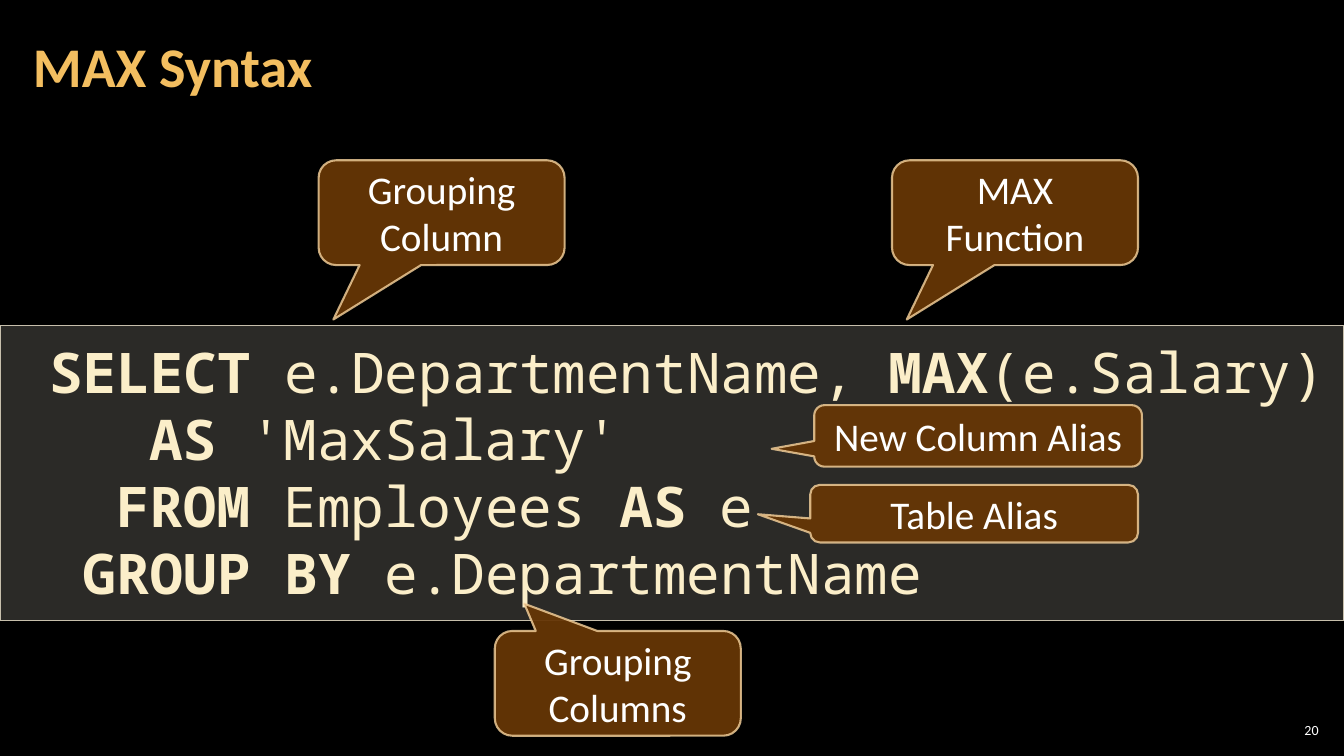
import dataclasses
import typing

import lxml.etree
import pptx
import pptx.dml.color
import pptx.dml.fill
import pptx.enum.shapes
import pptx.enum.text
import pptx.oxml.ns
import pptx.shapes.autoshape
import pptx.slide
import pptx.text.text
import pptx.util

Cm = pptx.util.Cm
Align = pptx.enum.text.PP_ALIGN
Shape = pptx.enum.shapes.MSO_SHAPE

COLORS = {
    "background": "000000",
    "title": "F3BE60",
    "code": "FBEEC9",
    "code_fill": "D9D5C7",
    "code_line": "C7BFAC",
    "callout_fill": "663606",
    "callout_line": "F8D49E",
    "text": "FFFFFF",
}
TEXT_FONT = "Calibri"
CODE_FONT = "Noto Sans Mono"
CODE_COLUMN = 0.84


@dataclasses.dataclass
class Box:
    left: float
    top: float
    width: float
    height: float

    def lengths(self) -> list[pptx.util.Length]:
        return [Cm(value) for value in dataclasses.astuple(self)]


@dataclasses.dataclass
class CodeLine:
    column: int
    runs: list[tuple[str, bool]]


@dataclasses.dataclass
class Callout:
    text: str
    box: Box
    tip: tuple[float, float]


CODE = [
    CodeLine(1, [("SELECT ", True), ("e.DepartmentName, ", False),
                 ("MAX", True), ("(e.Salary)", False)]),
    CodeLine(4, [("AS", True), (" 'MaxSalary'", False)]),
    CodeLine(3, [("FROM", True), (" Employees ", False), ("AS ", True), ("e", False)]),
    CodeLine(2, [("GROUP BY ", True), ("e.DepartmentName", False)]),
]

CALLOUTS = [
    Callout("Grouping Column", Box(8.03, 4.04, 6.2, 2.64), (-0.44, 1.02)),
    Callout("MAX\vFunction", Box(22.48, 4.04, 6.2, 2.64), (-0.44, 1.02)),
    Callout("Grouping Columns", Box(12.47, 15.9, 6.2, 2.64), (-0.38, -0.76)),
    Callout("Table Alias", Box(20.42, 12.22, 8.26, 1.45), (-0.66, 0.01)),
    Callout("New Column Alias", Box(20.52, 10.21, 8.26, 1.55), (-0.63, 0.21)),
]


def rgb(name: str) -> pptx.dml.color.RGBColor:
    return pptx.dml.color.RGBColor.from_string(COLORS[name])


def paint(fill: pptx.dml.fill.FillFormat, color: str, opacity: int) -> None:
    fill.solid()
    fill.fore_color.rgb = rgb(color)
    solid = fill._xPr.find(pptx.oxml.ns.qn("a:solidFill"))
    lxml.etree.SubElement(solid[0], pptx.oxml.ns.qn("a:alpha"), val=str(opacity * 1000))


def style_shape(shape: pptx.shapes.autoshape.Shape, fill: str, fill_opacity: int,
                line: str, line_opacity: int, line_width: float) -> None:
    shape.shadow.inherit = False
    paint(shape.fill, fill, fill_opacity)
    paint(shape.line.fill, line, line_opacity)
    shape.line.width = pptx.util.Pt(line_width)


def prepare_frame(shape: pptx.shapes.autoshape.Shape, side: float, vertical: float,
                  anchor: typing.Any) -> pptx.text.text.TextFrame:
    frame = shape.text_frame
    frame.word_wrap = True
    frame.vertical_anchor = anchor
    frame.margin_left = frame.margin_right = Cm(side)
    frame.margin_top = frame.margin_bottom = Cm(vertical)
    return frame


def write(paragraph: pptx.text.text._Paragraph, text: str, *, size: float,
          color: str = "text", font: str = TEXT_FONT, bold: bool = False,
          align: Align = Align.LEFT) -> None:
    paragraph.alignment = align
    for index, part in enumerate(text.split("\v")):
        if index:
            paragraph.add_line_break()
        run = paragraph.add_run()
        run.text = part
        run.font.size = pptx.util.Pt(size)
        run.font.name = font
        run.font.bold = bold
        run.font.color.rgb = rgb(color)


def draw_label(slide: pptx.slide.Slide, text: str, box: Box, side: float,
               **text_format: typing.Any) -> None:
    label = slide.shapes.add_textbox(*box.lengths())
    frame = prepare_frame(label, side, 0.1, pptx.enum.text.MSO_ANCHOR.MIDDLE)
    write(frame.paragraphs[0], text, **text_format)


def draw_code(slide: pptx.slide.Slide, lines: list[CodeLine], box: Box) -> None:
    panel = slide.shapes.add_shape(Shape.RECTANGLE, *box.lengths())
    style_shape(panel, "code_fill", 20, "code_line", 100, 1)
    frame = prepare_frame(panel, 0.4, 0.3, pptx.enum.text.MSO_ANCHOR.TOP)
    for index, line in enumerate(lines):
        paragraph = frame.add_paragraph() if index else frame.paragraphs[0]
        properties = paragraph._p.get_or_add_pPr()
        properties.set("marL", str(int(Cm(CODE_COLUMN * line.column))))
        properties.set("indent", "0")
        for text, bold in line.runs:
            write(paragraph, text, size=40, color="code", font=CODE_FONT, bold=bold)


def draw_callout(slide: pptx.slide.Slide, callout: Callout) -> None:
    bubble = slide.shapes.add_shape(Shape.ROUNDED_RECTANGULAR_CALLOUT,
                                    *callout.box.lengths())
    bubble.adjustments[0], bubble.adjustments[1] = callout.tip
    style_shape(bubble, "callout_fill", 95, "callout_line", 80, 1.5)
    frame = prepare_frame(bubble, 0.25, 0.13, pptx.enum.text.MSO_ANCHOR.MIDDLE)
    write(frame.paragraphs[0], callout.text, size=28, align=Align.CENTER)


def main() -> None:
    deck = pptx.Presentation()
    deck.slide_width, deck.slide_height = Cm(33.87), Cm(19.05)
    slide = deck.slides.add_slide(deck.slide_layouts[6])
    slide.background.fill.solid()
    slide.background.fill.fore_color.rgb = rgb("background")

    draw_code(slide, CODE, Box(0, 8.2, 33.87, 7.44))
    draw_label(slide, "20", Box(32.13, 18.14, 1.2, 0.53), 0.1,
               size=10, align=Align.RIGHT)
    draw_label(slide, "MAX Syntax", Box(0.53, 0.1, 26.6, 3.07), 0.3,
               size=40, color="title", bold=True)
    for callout in CALLOUTS:
        draw_callout(slide, callout)
    deck.save("out.pptx")


if __name__ == "__main__":
    main()
